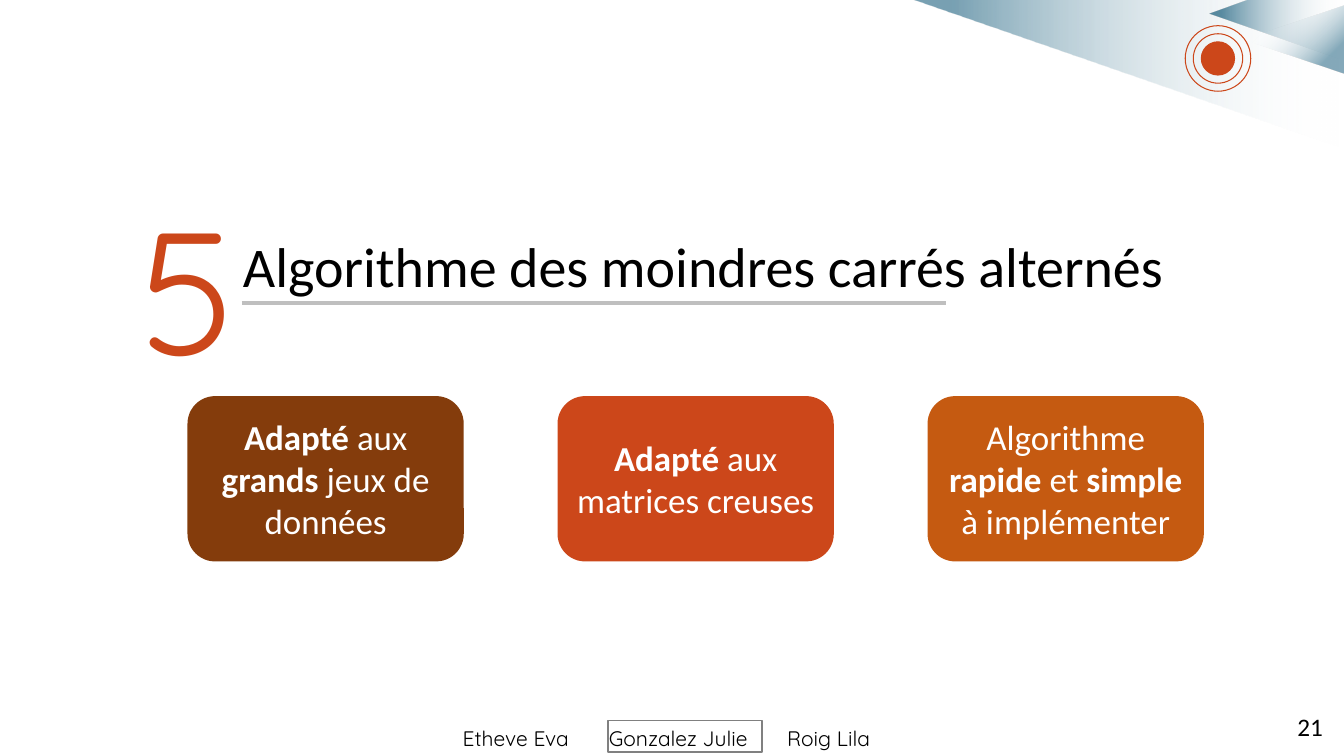
from lxml import etree
from pptx import Presentation
from pptx.dml.color import RGBColor
from pptx.enum.shapes import MSO_CONNECTOR, MSO_SHAPE
from pptx.enum.text import MSO_ANCHOR, PP_ALIGN
from pptx.oxml.ns import qn
from pptx.util import Pt

PX = 9144
BLACK = RGBColor(0x00, 0x00, 0x00)
WHITE = RGBColor(0xFF, 0xFF, 0xFF)
RED = RGBColor(0xCC, 0x47, 0x1A)
BROWN = RGBColor(0x84, 0x3C, 0x0C)
ORANGE = RGBColor(0xC5, 0x5A, 0x11)
SILVER = RGBColor(0xBF, 0xBF, 0xBF)
GRAY = RGBColor(0x80, 0x80, 0x80)
TEAL = RGBColor(0x00, 0x4D, 0x6F)

CARD_LEFT, CARD_TOP, CARD_PITCH = 186, 393, 367
CARD_WIDTH, CARD_HEIGHT = 274, 164
CARDS = [
    (BROWN, [("Adapté", True), (" aux ", False), ("grands", True),
             (" jeux de données", False)]),
    (RED, [("Adapté", True), (" aux matrices creuses", False)]),
    (ORANGE, [("Algorithme ", False), ("rapide", True), (" et ", False),
              ("simple", True), (" à implémenter", False)]),
]
AUTHORS = [("Etheve Eva", 449), ("Gonzalez Julie", 594), ("Roig Lila", 771)]
BANDS = [
    ([(905, 0), (1333, 0), (1332, 147)], 53),
    ([(1200, 14), (1239, 0), (1333, 0), (1333, 60)], 63),
]
TARGET_X, TARGET_Y = 1208, 58
RINGS = [(65, None), (49, None), (33, RED)]


def emu(*lengths):
    """Turn px lengths into EMU."""
    return [length * PX for length in lengths]


def style_font(font, size, color, name="Calibri", bold=False):
    """Set the look of a font."""
    font.size, font.name, font.bold = Pt(size), name, bold
    font.color.rgb = color


def paint(shape, fill=None, line=None, width=0.75):
    """Give a shape a flat fill and outline, or none."""
    shape.shadow.inherit = False
    if fill is None:
        shape.fill.background()
    else:
        shape.fill.solid()
        shape.fill.fore_color.rgb = fill
    if line is None:
        shape.line.fill.background()
    else:
        shape.line.color.rgb = line
        shape.line.width = Pt(width)


def fade(shape, start, end, opacity, angle):
    """Fill a shape from clear white to translucent teal."""
    paint(shape)
    shape.fill.gradient()
    shape.fill.gradient_angle = angle
    stops = zip(shape.fill.gradient_stops, (start, end), (WHITE, TEAL))
    for stop, position, color in stops:
        stop.position = position / 100
        stop.color.rgb = color
    colors = shape._element.spPr.iter(qn("a:srgbClr"))
    for color, alpha in zip(list(colors), (0, opacity)):
        etree.SubElement(color, qn("a:alpha")).set("val", str(alpha * 1000))


def add_corner(slide):
    """Draw the translucent wedges in the top right corner."""
    for points, opacity in BANDS:
        builder = slide.shapes.build_freeform(*points[0], scale=PX)
        builder.add_line_segments(points[1:], close=True)
        fade(builder.convert_to_shape(), 1, 91, opacity, 180)
    triangle = slide.shapes.add_shape(
        MSO_SHAPE.ISOSCELES_TRIANGLE, *emu(1249, -11, 68, 100))
    triangle.rotation = 270
    fade(triangle, 27, 81, 48, 225)


def add_target(slide):
    """Draw the concentric rings."""
    for size, fill in RINGS:
        ring = slide.shapes.add_shape(MSO_SHAPE.OVAL, *emu(
            TARGET_X - size / 2, TARGET_Y - size / 2, size, size))
        paint(ring, fill, RED)


def add_title(slide):
    """Place the title and its underline."""
    title = slide.shapes.title
    title.left, title.top, title.width, title.height = emu(231, 225, 1018, 77)
    title.text_frame.text = "Algorithme des moindres carrés alternés"
    title.text_frame.vertical_anchor = MSO_ANCHOR.TOP
    paragraph = title.text_frame.paragraphs[0]
    paragraph.alignment = PP_ALIGN.LEFT
    style_font(paragraph.runs[0].font, 40, BLACK)
    line = slide.shapes.add_connector(
        MSO_CONNECTOR.STRAIGHT, *emu(240, 301, 938, 301))
    line.line.color.rgb = SILVER
    line.line.width = Pt(3)
    etree.SubElement(line._element.spPr, qn("a:effectLst"))


def add_text(slide, text, box, size, color, name):
    """Add a one-line text box."""
    frame = slide.shapes.add_textbox(*emu(*box)).text_frame
    frame.word_wrap = True
    frame.text = text
    style_font(frame.paragraphs[0].runs[0].font, size, color, name)


def add_card(slide, index, color, pieces):
    """Add a rounded card with partly bold text."""
    card = slide.shapes.add_shape(MSO_SHAPE.ROUNDED_RECTANGLE, *emu(
        CARD_LEFT + index * CARD_PITCH, CARD_TOP, CARD_WIDTH, CARD_HEIGHT))
    paint(card, color)
    frame = card.text_frame
    frame.word_wrap = True
    frame.vertical_anchor = MSO_ANCHOR.MIDDLE
    frame.margin_left, frame.margin_right = emu(5, 5)
    paragraph = frame.paragraphs[0]
    paragraph.alignment = PP_ALIGN.CENTER
    for text, bold in pieces:
        run = paragraph.add_run()
        run.text = text
        style_font(run.font, 25, WHITE, bold=bold)


def add_footer(slide):
    """Add the authors, the frame around the speaker and the page number."""
    for author, left in AUTHORS:
        add_text(slide, author, (left, 715, 170, 35), 15, BLACK, "Quicksand")
    speaker_frame = slide.shapes.add_shape(
        MSO_SHAPE.RECTANGLE, *emu(603, 715, 153, 31))
    paint(speaker_frame, line=GRAY, width=1)
    add_text(slide, "21", (1277, 701, 72, 40), 18, BLACK, "Calibri")


def main():
    """Build and save the slide."""
    presentation = Presentation()
    presentation.slide_width, presentation.slide_height = emu(1333, 750)
    slide = presentation.slides.add_slide(presentation.slide_layouts[5])
    add_corner(slide)
    add_target(slide)
    add_title(slide)
    add_text(slide, "5", (129, 175, 139, 246), 125, RED, "Quicksand")
    for index, (color, pieces) in enumerate(CARDS):
        add_card(slide, index, color, pieces)
    add_footer(slide)
    presentation.save("out.pptx")


if __name__ == "__main__":
    main()
